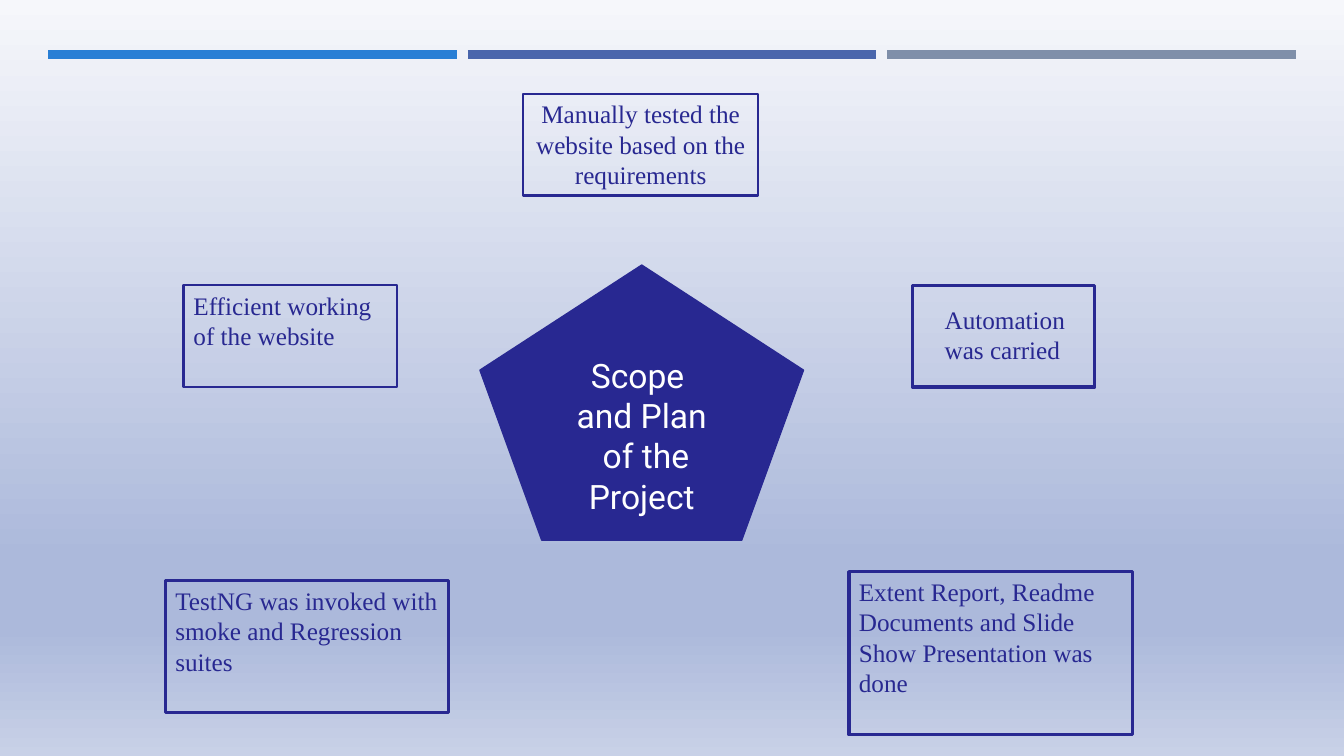
from lxml.etree import SubElement
from pptx import Presentation
from pptx.dml.color import RGBColor
from pptx.enum.shapes import MSO_CONNECTOR, MSO_SHAPE
from pptx.enum.text import MSO_ANCHOR, MSO_AUTO_SIZE, PP_ALIGN
from pptx.oxml.ns import qn
from pptx.util import Inches, Pt

NAVY = "282891"


def color(value):
    return RGBColor.from_string(value)


def write(shape, lines, font, size, text_color, alignment):
    frame = shape.text_frame
    frame.word_wrap = True
    for index, line in enumerate(lines):
        paragraph = frame.add_paragraph() if index else frame.paragraphs[0]
        paragraph.alignment = alignment
        run = paragraph.add_run()
        run.text = line
        run.font.name = font
        run.font.size = Pt(size)
        run.font.color.rgb = color(text_color)


presentation = Presentation()
presentation.slide_width = Inches(13.33)
presentation.slide_height = Inches(7.5)
slide = presentation.slides.add_slide(presentation.slide_layouts[6])
shapes = slide.shapes

background = slide.background.fill
background.gradient()
background.gradient_angle = 270
stop_list = slide.element.find(".//" + qn("a:gsLst"))
for stop in list(stop_list):
    stop_list.remove(stop)
for position, value in [(0, "F6F7FB"), (74, "ACB9DB"), (83, "ACB9DB"), (100, "C8D1E7")]:
    stop = SubElement(stop_list, qn("a:gs"), pos=str(position * 1000))
    SubElement(stop, qn("a:srgbClr"), val=value)

for index, value in enumerate(["297FD5", "4A66AC", "7F8FA9"]):
    left = 0.48 + index * 4.16
    bar = shapes.add_connector(
        MSO_CONNECTOR.STRAIGHT, Inches(left), Inches(0.54), Inches(left + 4.05), Inches(0.54)
    )
    bar.line.color.rgb = color(value)
    bar.line.width = Pt(6.5)
    SubElement(bar.element.spPr, qn("a:effectLst"))

pentagon = shapes.add_shape(
    MSO_SHAPE.REGULAR_PENTAGON, Inches(4.76), Inches(2.63), Inches(3.21), Inches(2.73)
)
pentagon.shadow.inherit = False
pentagon.fill.solid()
pentagon.fill.fore_color.rgb = color(NAVY)
pentagon.line.color.rgb = color(NAVY)
pentagon.line.width = Pt(1)
pentagon.text_frame.vertical_anchor = MSO_ANCHOR.MIDDLE
write(pentagon, ["Scope ", "and Plan", " of the Project"], "Roboto", 24, "FFFFFF", PP_ALIGN.CENTER)

boxes = [
    (5.19, 0.93, 2.33, 1.01, 1.5, PP_ALIGN.CENTER,
     "Manually tested the website based on the requirements"),
    (1.82, 2.83, 2.12, 1.01, 1.5, PP_ALIGN.LEFT, "Efficient working of the website"),
    (9.05, 2.83, 1.81, 1.01, 2.25, PP_ALIGN.LEFT, ""),
    (1.64, 5.76, 2.81, 1.31, 2.25, PP_ALIGN.LEFT,
     "TestNG was invoked with smoke and Regression suites"),
    (8.42, 5.67, 2.81, 1.62, 2.25, PP_ALIGN.LEFT,
     "Extent Report, Readme Documents and Slide Show Presentation was done"),
]
for left, top, width, height, line_width, alignment, text in boxes:
    box = shapes.add_shape(
        MSO_SHAPE.RECTANGLE, Inches(left), Inches(top), Inches(width), Inches(height)
    )
    box.shadow.inherit = False
    box.fill.background()
    box.line.color.rgb = color(NAVY)
    box.line.width = Pt(line_width)
    if text:
        box.text_frame.vertical_anchor = MSO_ANCHOR.TOP
        write(box, [text], "Times New Roman", 18, NAVY, alignment)

automation = shapes.add_textbox(Inches(9.27), Inches(2.97), Inches(1.71), Inches(1.01))
automation.text_frame.auto_size = MSO_AUTO_SIZE.NONE
write(automation, ["Automation was carried"], "Times New Roman", 18, NAVY, PP_ALIGN.LEFT)

presentation.save("out.pptx")
